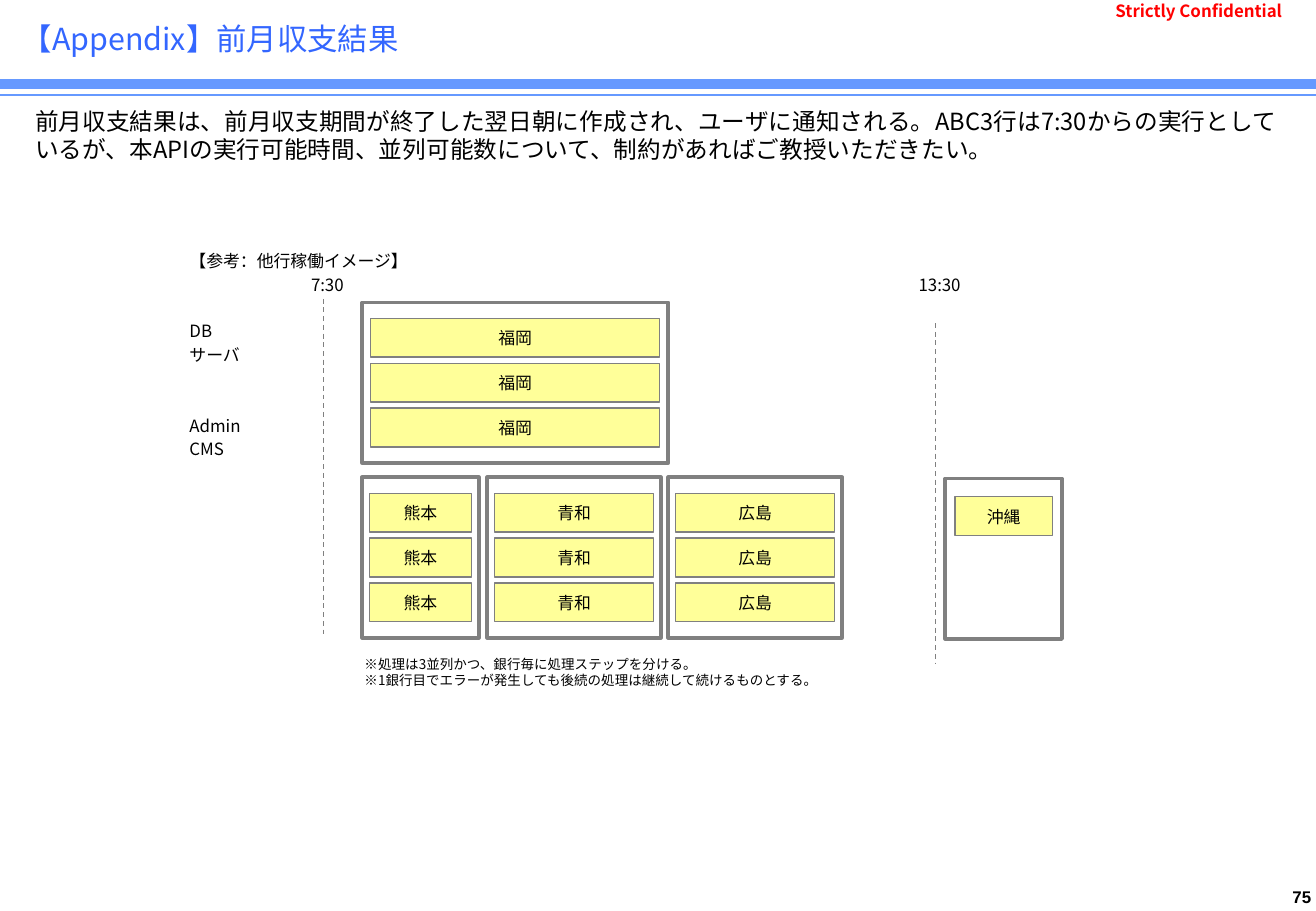
from dataclasses import dataclass

from lxml import etree
from pptx import Presentation
from pptx import util as u
from pptx.dml.color import RGBColor
from pptx.enum import dml, shapes, text
from pptx.oxml.ns import qn

PX = 9144  # EMU per px, 100 px to the inch
SANS = "Noto Sans CJK JP"
BLACK, GREY, BLUE = "000000", "808080", "6699FF"
JOB_HEIGHT, JOB_PITCH = 32, 37


@dataclass
class Label:
    lines: list[str]
    left: int
    top: int
    width: int
    height: int
    size: int = 10
    color: str = BLACK
    font: str = SANS
    bold: bool = False
    align: text.PP_ALIGN = text.PP_ALIGN.LEFT
    anchor: text.MSO_ANCHOR = text.MSO_ANCHOR.TOP
    inset_x: int = 8
    space_before: int = 0


@dataclass
class Bank:
    name: str
    left: int
    top: int
    width: int
    inset: int = 6
    jobs: int = 3
    job_top: int = 13


@dataclass
class Rule:
    x1: int
    y1: int
    x2: int
    y2: int
    color: str
    weight: float
    dashed: bool = False


LABELS = [
    Label(["Strictly Confidential"], 910, 4, 176, 10, color="FF0000", bold=True,
          anchor=text.MSO_ANCHOR.MIDDLE),
    Label(["75"], 1051, 726, 32, 25, font="Arial", bold=True,
          align=text.PP_ALIGN.RIGHT, inset_x=4),
    Label(["前月収支結果は、前月収支期間が終了した翌日朝に作成され、ユーザに通知される。"
           "ABC3行は7:30からの実行としているが、本APIの実行可能時間、並列可能数について、"
           "制約があればご教授いただきたい。"], 25, 84, 1029, 63, size=14, inset_x=4),
    Label(["【参考：他行稼働イメージ】"], 148, 202, 250, 24),
    Label(["7:30"], 248, 222, 60, 24),
    Label(["13:30"], 748, 222, 70, 24),
    Label(["DB", "サーバ"], 148, 260, 90, 45, space_before=2),
    Label(["Admin", "CMS"], 148, 338, 90, 45, space_before=2),
    Label(["※処理は3並列かつ、銀行毎に処理ステップを分ける。",
           "※1銀行目でエラーが発生しても後続の処理は継続して続けるものとする。"],
          292, 517, 453, 73, size=8, anchor=text.MSO_ANCHOR.MIDDLE),
]
BANKS = [
    Bank("福岡", 298, 249, 252, inset=7),
    Bank("熊本", 298, 393, 96),
    Bank("青和", 401, 393, 143),
    Bank("広島", 550, 393, 143),
    Bank("沖縄", 778, 394, 96, inset=8, jobs=1, job_top=15),
]
RULES = [
    Rule(0, 69, 1083, 69, BLUE, 6),
    Rule(0, 78, 1083, 78, BLUE, 1),
    Rule(266, 246, 266, 525, GREY, 0.75, dashed=True),
    Rule(770, 266, 770, 546, GREY, 0.75, dashed=True),
]


def px(*lengths: int) -> list[u.Emu]:
    return [u.Emu(n * PX) for n in lengths]


def rgb(color: str) -> RGBColor:
    return RGBColor.from_string(color)


def style(p, size: int, color: str, font: str = SANS, bold: bool = False) -> None:
    p.font.name, p.font.size, p.font.bold = font, u.Pt(size), bold
    p.font.color.rgb = rgb(color)
    latin = p._p.pPr.find(qn("a:defRPr")).find(qn("a:latin"))
    ea = etree.Element(qn("a:ea"), typeface=font)
    latin.addnext(ea)


def set_insets(tf, x: int, y: int) -> None:
    tf.margin_left = tf.margin_right = u.Emu(x * PX)
    tf.margin_top = tf.margin_bottom = u.Emu(y * PX)


def add_label(slide, label: Label) -> None:
    sp = slide.shapes.add_textbox(*px(label.left, label.top, label.width, label.height))
    tf = sp.text_frame
    tf.word_wrap, tf.vertical_anchor = True, label.anchor
    set_insets(tf, label.inset_x, 4)
    for i, line in enumerate(label.lines):
        p = tf.add_paragraph() if i else tf.paragraphs[0]
        p.text, p.alignment = line, label.align
        if i and label.space_before:
            p.space_before = u.Pt(label.space_before)
        style(p, label.size, label.color, label.font, label.bold)


def add_box(slide, left: int, top: int, width: int, height: int,
            fill: str, weight: float):
    sp = slide.shapes.add_shape(shapes.MSO_SHAPE.RECTANGLE, *px(left, top, width, height))
    sp.shadow.inherit = False
    sp.fill.solid()
    sp.fill.fore_color.rgb = rgb(fill)
    sp.line.color.rgb = rgb(GREY)
    sp.line.width = u.Pt(weight)
    return sp


def add_bank(slide, bank: Bank) -> None:
    add_box(slide, bank.left, bank.top, bank.width, 132, "FFFFFF", 2.25)
    for i in range(bank.jobs):
        job = add_box(slide, bank.left + bank.inset, bank.top + bank.job_top + i * JOB_PITCH,
                      bank.width - 2 * bank.inset, JOB_HEIGHT, "FFFF99", 0.75)
        tf = job.text_frame
        tf.word_wrap, tf.vertical_anchor = False, text.MSO_ANCHOR.MIDDLE
        set_insets(tf, 4, 4)
        p = tf.paragraphs[0]
        p.text, p.alignment = bank.name, text.PP_ALIGN.CENTER
        style(p, 10, BLACK)


def add_rule(slide, rule: Rule) -> None:
    line = slide.shapes.add_connector(shapes.MSO_CONNECTOR.STRAIGHT,
                                      *px(rule.x1, rule.y1, rule.x2, rule.y2))
    line.line.color.rgb = rgb(rule.color)
    line.line.width = u.Pt(rule.weight)
    if rule.dashed:
        line.line.dash_style = dml.MSO_LINE.DASH
    etree.SubElement(line._element.spPr, qn("a:effectLst"))


def add_title(slide, title: str) -> None:
    sp = slide.shapes.title
    sp.left, sp.top, sp.width, sp.height = px(8, 6, 1038, 51)
    tf = sp.text_frame
    tf.auto_size, tf.vertical_anchor = text.MSO_AUTO_SIZE.NONE, text.MSO_ANCHOR.MIDDLE
    p = tf.paragraphs[0]
    p.text, p.alignment = title, text.PP_ALIGN.LEFT
    style(p, 18, "3366FF")


def main() -> None:
    prs = Presentation()
    prs.slide_width, prs.slide_height = px(1083, 750)
    slide = prs.slides.add_slide(prs.slide_layouts[5])  # title only

    # Heading, notes and time labels
    add_title(slide, "【Appendix】前月収支結果")
    for label in LABELS:
        add_label(slide, label)

    # Job schedule per bank
    for bank in BANKS:
        add_bank(slide, bank)

    # Header bars and time markers
    for rule in RULES:
        add_rule(slide, rule)

    prs.save("out.pptx")


if __name__ == "__main__":
    main()
